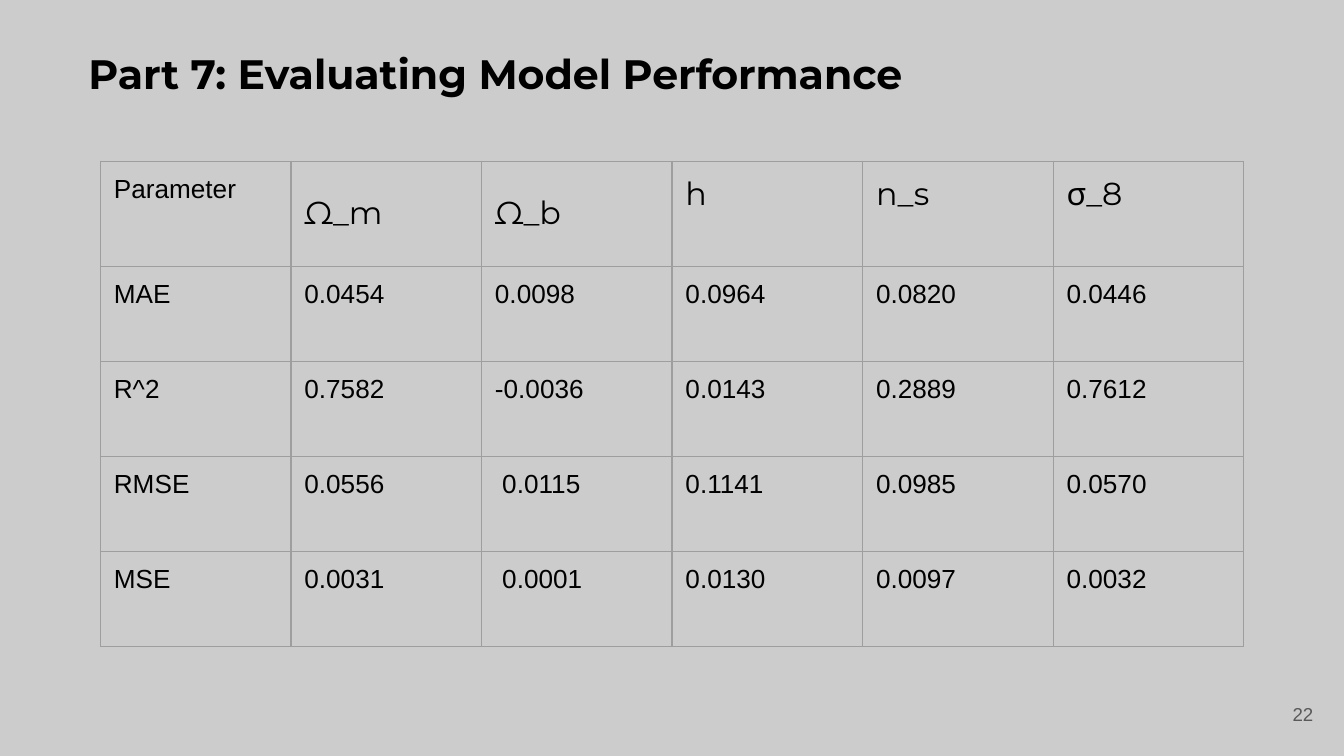
"""Build the slide that tabulates model performance per parameter."""
from dataclasses import dataclass

from lxml.etree import SubElement
from pptx import Presentation
from pptx.dml.color import RGBColor
from pptx.enum.text import MSO_ANCHOR, PP_ALIGN
from pptx.oxml.ns import qn
from pptx.util import Pt

INSET = 7.2
COLUMN_WIDTH = 102.1
HEADER_HEIGHT = 56.5
ROW_HEIGHT = 50.9
BORDER_COLOR = "9E9E9E"
BORDER_WIDTH = 0.75


@dataclass(frozen=True)
class Style:
    """Look of one run and its paragraph."""
    size: float
    font: str = "Arial"
    color: str = "000000"
    bold: bool = False
    align: PP_ALIGN = PP_ALIGN.LEFT
    spacing: float = 1.0


@dataclass(frozen=True)
class Label:
    """A text box with its place in points."""
    text: str
    left: float
    top: float
    width: float
    height: float
    style: Style
    anchor: MSO_ANCHOR = MSO_ANCHOR.TOP


BODY = Style(14)
SYMBOL = Style(17, "Montserrat")
OMEGA = Style(17, "Montserrat", spacing=1.5)

LABELS = (
    Label("Part 7: Evaluating Model Performance", 40.3, 18.7, 532.8, 67.7,
          Style(22, "Montserrat", bold=True)),
    Label("22", 667.4, 367.2, 43.2, 31,
          Style(10, color="595959", align=PP_ALIGN.RIGHT), MSO_ANCHOR.MIDDLE),
)
HEADER_STYLES = (BODY, OMEGA, OMEGA, SYMBOL, SYMBOL, SYMBOL)
SCORES = (
    ("Parameter", "Ω_m", "Ω_b", "h", "n_s", "σ_8"),
    ("MAE", "0.0454", "0.0098", "0.0964", "0.0820", "0.0446"),
    ("R^2", "0.7582", "-0.0036", "0.0143", "0.2889", "0.7612"),
    ("RMSE", "0.0556", " 0.0115", "0.1141", "0.0985", "0.0570"),
    ("MSE", "0.0031", " 0.0001", "0.0130", "0.0097", "0.0032"),
)


def rgb(color: str) -> RGBColor:
    """Turn a hex string into a colour."""
    return RGBColor.from_string(color)


def write(holder, text: str, style: Style) -> None:
    """Write one styled run into a cell or text frame and set its insets."""
    holder.margin_left = holder.margin_right = Pt(INSET)
    holder.margin_top = holder.margin_bottom = Pt(INSET)
    frame = getattr(holder, "text_frame", holder)
    para = frame.paragraphs[0]
    para.alignment = style.align
    para.line_spacing = style.spacing
    span = para.add_run()
    span.text = text
    span.font.size = Pt(style.size)
    span.font.name = style.font
    span.font.bold = style.bold
    span.font.color.rgb = rgb(style.color)


def draw_label(page, label: Label) -> None:
    """Place a wrapped text box."""
    box = page.shapes.add_textbox(Pt(label.left), Pt(label.top),
                                  Pt(label.width), Pt(label.height))
    box.text_frame.word_wrap = True
    box.text_frame.vertical_anchor = label.anchor
    write(box.text_frame, label.text, label.style)


def outline(cell) -> None:
    """Draw the four borders of a cell."""
    properties = cell._tc.get_or_add_tcPr()
    for position, side in enumerate(("lnL", "lnR", "lnT", "lnB")):
        line = SubElement(properties, qn(f"a:{side}"), w=str(Pt(BORDER_WIDTH)))
        fill = SubElement(line, qn("a:solidFill"))
        SubElement(fill, qn("a:srgbClr"), val=BORDER_COLOR)
        properties.insert(position, line)


def draw_scores(page, left: float, top: float) -> None:
    """Place the table of scores."""
    column_count = len(HEADER_STYLES)
    height = HEADER_HEIGHT + ROW_HEIGHT * (len(SCORES) - 1)
    table = page.shapes.add_table(len(SCORES), column_count, Pt(left), Pt(top),
                                  Pt(COLUMN_WIDTH * column_count), Pt(height)).table
    table.first_row = table.horz_banding = False
    for column in table.columns:
        column.width = Pt(COLUMN_WIDTH)
    for index, values in enumerate(SCORES):
        table.rows[index].height = Pt(ROW_HEIGHT if index else HEADER_HEIGHT)
        for cell, value, header_style in zip(table.rows[index].cells, values, HEADER_STYLES):
            write(cell, value, BODY if index else header_style)
            cell.fill.background()
            outline(cell)


def main() -> None:
    """Build and save the deck."""
    deck = Presentation()
    deck.slide_width, deck.slide_height = Pt(720), Pt(405)
    page = deck.slides.add_slide(deck.slide_layouts[6])
    page.background.fill.solid()
    page.background.fill.fore_color.rgb = rgb("CCCCCC")
    for label in LABELS:
        draw_label(page, label)
    draw_scores(page, 53.8, 86.4)
    deck.save("out.pptx")


if __name__ == "__main__":
    main()
